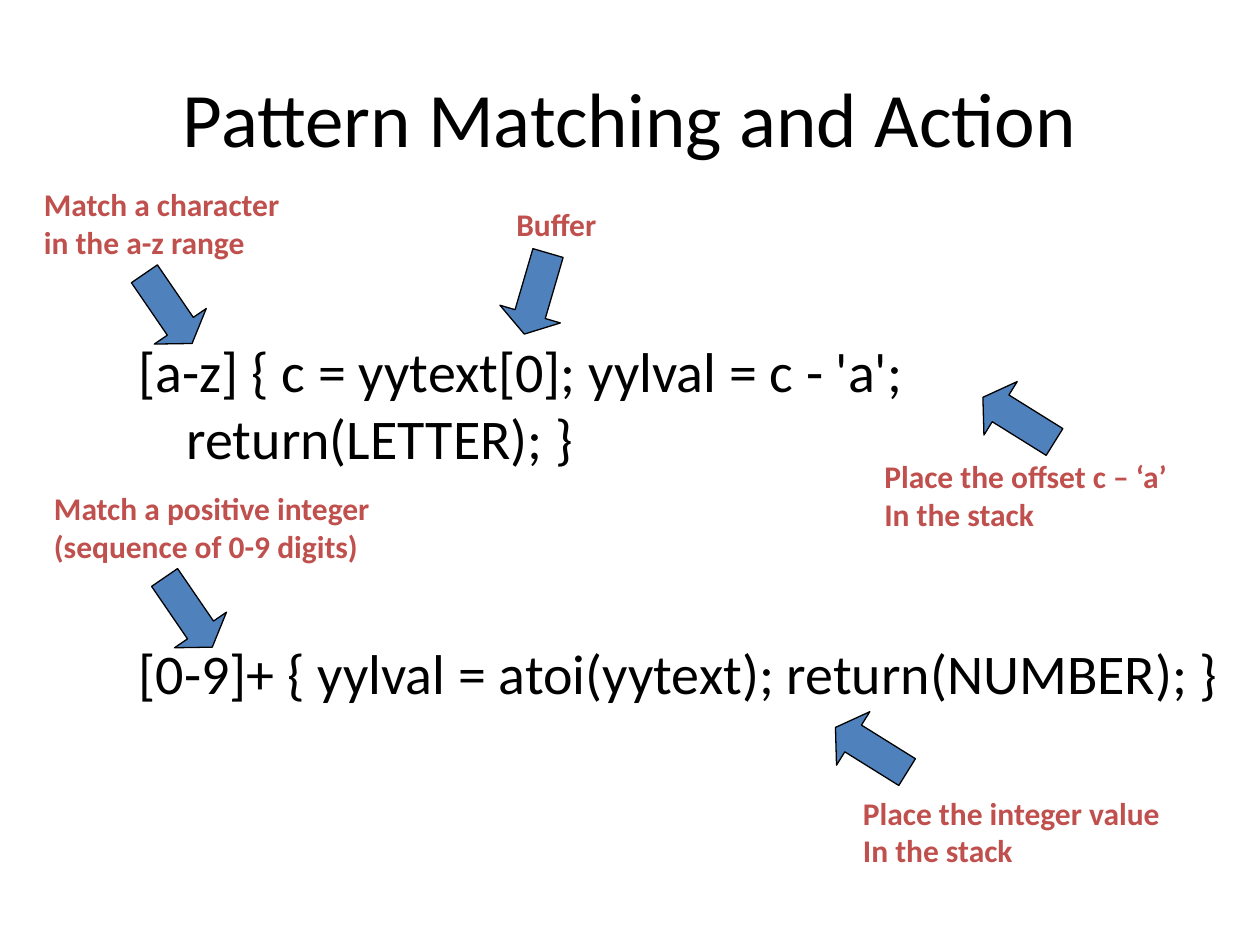
from dataclasses import dataclass

import pptx
import pptx.dml.color
import pptx.enum.shapes
import pptx.enum.text
import pptx.oxml.ns
import pptx.util
from lxml import etree
from pptx.util import Inches

FONT = "Calibri"
BLACK = "000000"
BLUE = "4F81BD"
RED = "C0504D"


@dataclass
class Arrow:
    left: float
    top: float
    rotation: float


@dataclass
class Note:
    left: float
    top: float
    width: float
    height: float
    lines: tuple[str, ...]


DOWN_RIGHT = 55.6
DOWN_LEFT = 106.3
UP_LEFT = 211.9

ARROWS = [
    Arrow(1.16, 4.61, DOWN_RIGHT),
    Arrow(1, 2.2, DOWN_RIGHT),
    Arrow(7.75, 3.08, UP_LEFT),
    Arrow(6.58, 5.7, UP_LEFT),
    Arrow(3.92, 2.08, DOWN_LEFT),
]

NOTES = [
    Note(0.25, 1.42, 2.4, 0.7, ("Match a character", "in the a-z range")),
    Note(0.33, 3.83, 3.05, 0.7, ("Match a positive integer", "(sequence of 0-9 digits)")),
    Note(6.92, 3.58, 2.88, 0.7, ("Place the offset c – ‘a’", "In the stack")),
    Note(6.75, 6.25, 2.91, 0.7, ("Place the integer value", "In the stack")),
    Note(4, 1.58, 0.94, 0.4, ("Buffer",)),
]

RULES = [
    "[a-z] { c = yytext[0]; yylval = c - 'a'; return(LETTER); }",
    "[0-9]+ { yylval = atoi(yytext); return(NUMBER); }",
]


def color(value: str) -> pptx.dml.color.RGBColor:
    return pptx.dml.color.RGBColor.from_string(value)


def place(shape, left: float, top: float, width: float, height: float) -> None:
    shape.left, shape.top = Inches(left), Inches(top)
    shape.width, shape.height = Inches(width), Inches(height)


def add_lines(text_frame, lines, size: float, hex_color: str, bold: bool = False) -> None:
    for index, line in enumerate(lines):
        paragraph = text_frame.add_paragraph() if index else text_frame.paragraphs[0]
        run = paragraph.add_run()
        run.text = line
        run.font.name = FONT
        run.font.size = pptx.util.Pt(size)
        run.font.bold = bold
        run.font.color.rgb = color(hex_color)


def fill_title(shape) -> None:
    place(shape, 0.5, 0.3, 9, 1.25)
    text_frame = shape.text_frame
    text_frame.vertical_anchor = pptx.enum.text.MSO_ANCHOR.MIDDLE
    add_lines(text_frame, ["Pattern Matching and Action"], 44, BLACK)
    text_frame.paragraphs[0].alignment = pptx.enum.text.PP_ALIGN.CENTER


def fill_rules(shape) -> None:
    place(shape, 1, 2, 9, 4.58)
    text_frame = shape.text_frame
    text_frame.auto_size = pptx.enum.text.MSO_AUTO_SIZE.NONE
    text_frame.margin_top = Inches(0.67)
    add_lines(text_frame, RULES, 32, BLACK)
    for index, paragraph in enumerate(text_frame.paragraphs):
        paragraph.space_before = pptx.util.Pt(96 * index)
        properties = paragraph._p.get_or_add_pPr()
        properties.set("marL", str(Inches(0.38)))
        properties.set("indent", str(Inches(-0.38)))
        etree.SubElement(properties, pptx.oxml.ns.qn("a:buNone"))


def add_arrow(slide, arrow: Arrow) -> None:
    shape = slide.shapes.add_shape(
        pptx.enum.shapes.MSO_SHAPE.RIGHT_ARROW,
        Inches(arrow.left), Inches(arrow.top), Inches(0.67), Inches(0.5),
    )
    shape.adjustments[0] = 0.5
    shape.adjustments[1] = 0.33
    shape.rotation = arrow.rotation
    shape.shadow.inherit = False
    shape.fill.solid()
    shape.fill.fore_color.rgb = color(BLUE)
    shape.line.color.rgb = color(BLACK)
    shape.line.width = pptx.util.Pt(0.75)


def add_note(slide, note: Note) -> None:
    shape = slide.shapes.add_textbox(
        Inches(note.left), Inches(note.top), Inches(note.width), Inches(note.height)
    )
    shape.text_frame.word_wrap = False
    shape.text_frame.auto_size = pptx.enum.text.MSO_AUTO_SIZE.SHAPE_TO_FIT_TEXT
    add_lines(shape.text_frame, note.lines, 18, RED, bold=True)


def main() -> None:
    presentation = pptx.Presentation()
    presentation.slide_width = Inches(10)
    presentation.slide_height = Inches(7.5)
    slide = presentation.slides.add_slide(presentation.slide_layouts[1])
    fill_title(slide.shapes.title)
    fill_rules(slide.placeholders[1])
    for arrow in ARROWS:
        add_arrow(slide, arrow)
    for note in NOTES:
        add_note(slide, note)
    presentation.save("out.pptx")


if __name__ == "__main__":
    main()
